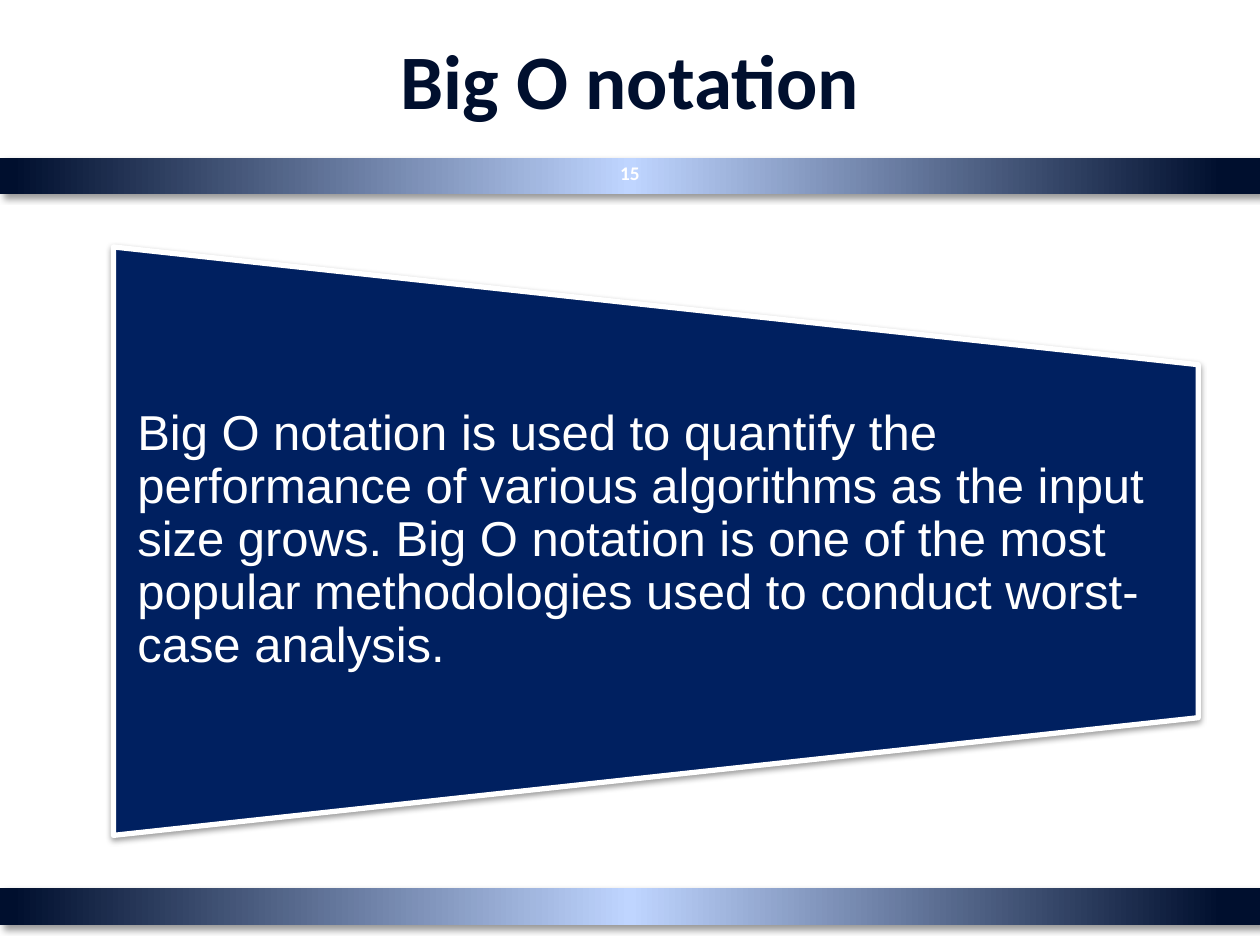
"""Build the Big O notation slide with two gradient bars and a tapered panel."""
from dataclasses import dataclass

from lxml import etree
from pptx import Presentation
from pptx.dml.color import RGBColor
from pptx.enum.shapes import MSO_SHAPE
from pptx.enum.text import MSO_ANCHOR, PP_ALIGN
from pptx.oxml.ns import qn
from pptx.util import Inches, Pt

RECTANGLE = MSO_SHAPE.RECTANGLE
TRAPEZOID = MSO_SHAPE.FLOWCHART_MANUAL_OPERATION
MIDDLE = MSO_ANCHOR.MIDDLE
CENTER, LEFT = PP_ALIGN.CENTER, PP_ALIGN.LEFT


@dataclass(frozen=True)
class Theme:
    dark: str = "000F2E"
    light: str = "BFD5FF"
    panel: str = "002060"
    white: str = "FFFFFF"
    shadow: str = "000000"
    heading_font: str = "Calibri"
    body_font: str = "Arial"
    title_size: int = 44
    body_size: int = 28
    number_size: int = 11


theme = Theme()


def add_shadow(shape, opacity, blur, distance, direction):
    shape.shadow.inherit = False
    effects = shape._element.spPr.find(qn("a:effectLst"))
    shadow = etree.SubElement(
        effects, qn("a:outerShdw"), blurRad=str(Pt(blur)), dist=str(Pt(distance)),
        dir=str(direction * 60000), algn="ctr", rotWithShape="0")
    color = etree.SubElement(shadow, qn("a:srgbClr"), val=theme.shadow)
    etree.SubElement(color, qn("a:alpha"), val=str(opacity * 1000))


def write_text(shape, text, font_name, size, color, bold, alignment, margins):
    frame = shape.text_frame
    frame.text = text
    frame.word_wrap = True
    frame.vertical_anchor = MIDDLE
    frame.margin_left = frame.margin_right = Inches(margins[0])
    frame.margin_top = frame.margin_bottom = Inches(margins[1])
    paragraph = frame.paragraphs[0]
    paragraph.alignment = alignment
    font = paragraph.runs[0].font
    font.name, font.size, font.bold = font_name, Pt(size), bold
    font.color.rgb = RGBColor.from_string(color)
    return paragraph


presentation = Presentation()
presentation.slide_width, presentation.slide_height = Inches(10), Inches(7.5)
slide = presentation.slides.add_slide(presentation.slide_layouts[5])
shapes = slide.shapes

gradient_stops = [(0, theme.dark), (3, theme.dark), (50, theme.light),
                  (99, theme.dark), (100, theme.dark)]
for top in (7.05, 1.25):
    bar = shapes.add_shape(RECTANGLE, Inches(0), Inches(top), Inches(10), Inches(0.29))
    bar.fill.gradient()
    bar.fill.gradient_angle = 180
    stop_list = bar._element.spPr.find(qn("a:gradFill")).find(qn("a:gsLst"))
    stop_list.clear()
    for position, color in gradient_stops:
        stop = etree.SubElement(stop_list, qn("a:gs"), pos=str(position * 1000))
        etree.SubElement(stop, qn("a:srgbClr"), val=color)
    bar.line.fill.background()
    add_shadow(bar, 40, 4, 3, 45)

title = shapes.title
title.left, title.top = Inches(0.5), Inches(0)
title.width, title.height = Inches(9), Inches(1.25)
write_text(title, "Big O notation", theme.heading_font, theme.title_size,
           theme.dark, True, CENTER, (0.1, 0.05))

slide_number = shapes.add_textbox(Inches(4.79), Inches(1.17), Inches(0.42), Inches(0.4))
write_text(slide_number, "15", theme.heading_font, theme.number_size,
           theme.white, True, CENTER, (0.1, 0.05))

panel = shapes.add_shape(TRAPEZOID, Inches(2.87), Inches(-0.01), Inches(4.67), Inches(8.61))
panel.rotation = 270
panel.fill.solid()
panel.fill.fore_color.rgb = RGBColor.from_string(theme.panel)
panel.line.color.rgb = RGBColor.from_string(theme.white)
panel.line.width = Pt(3)
add_shadow(panel, 38, 3.1, 1.6, 90)

definition = shapes.add_textbox(Inches(0.9), Inches(2.89), Inches(8.61), Inches(2.8))
definition_paragraph = write_text(
    definition,
    "Big O notation is used to quantify the performance of various algorithms as the "
    "input size grows. Big O notation is one of the most popular methodologies used to "
    "conduct worst-case analysis.",
    theme.body_font, theme.body_size, theme.white, False, LEFT, (0.19, 0))
definition_paragraph.line_spacing = 0.9

presentation.save("out.pptx")
